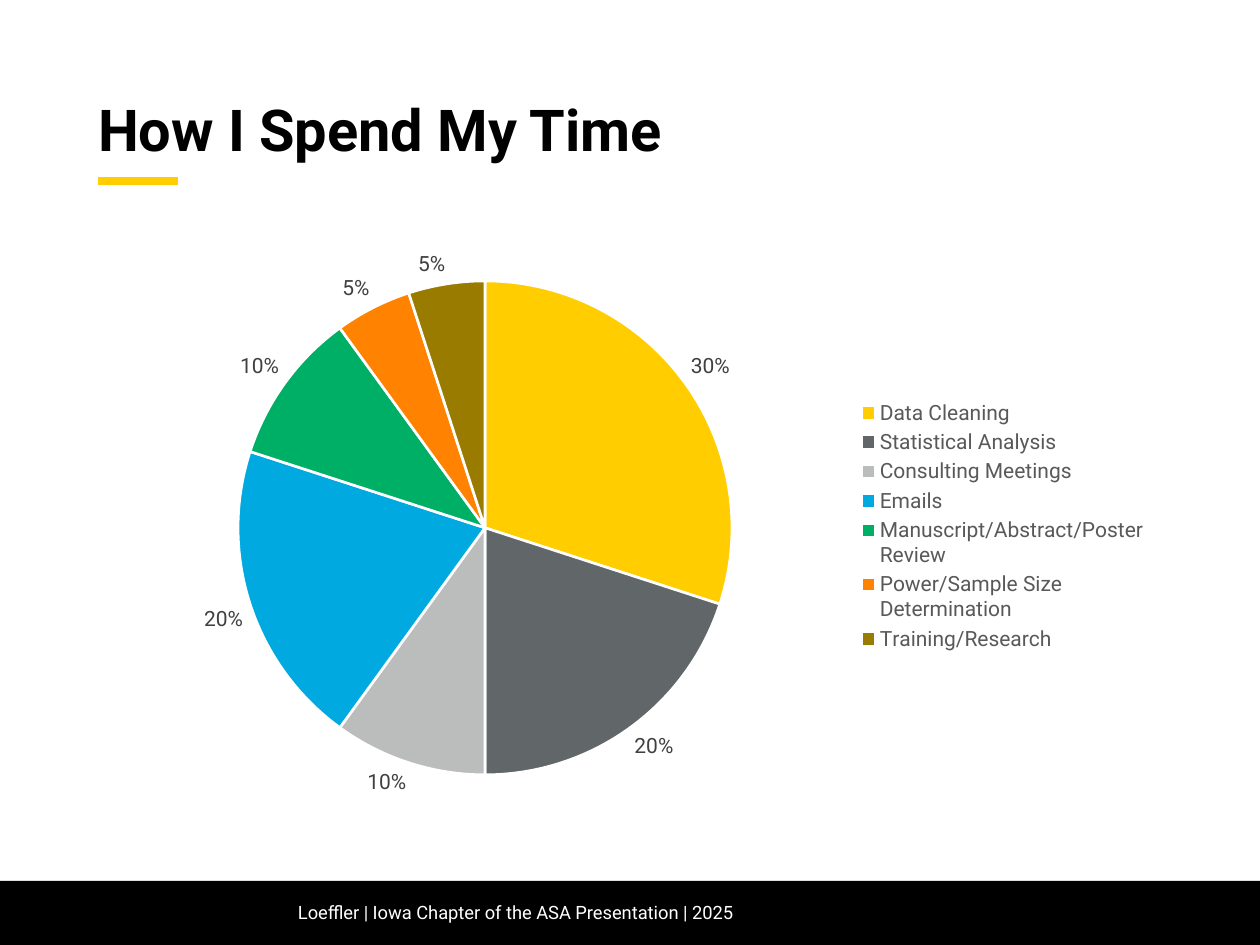
from dataclasses import dataclass

from lxml.etree import SubElement
from pptx import Presentation
from pptx.chart.data import CategoryChartData
from pptx.dml.color import RGBColor
from pptx.enum.chart import XL_CHART_TYPE as ChartType
from pptx.enum.chart import XL_LABEL_POSITION as LabelPosition
from pptx.enum.chart import XL_LEGEND_POSITION as LegendPosition
from pptx.enum.shapes import MSO_CONNECTOR as Connector
from pptx.enum.shapes import MSO_SHAPE as Shape
from pptx.enum.text import MSO_ANCHOR as Anchor
from pptx.oxml import parse_xml
from pptx.oxml.ns import nsdecls, qn
from pptx.util import Emu, Pt

PX_PER_INCH = 126


@dataclass(frozen=True)
class Theme:
    font: str = "Roboto"
    gold: str = "FFCD00"
    black: str = "000000"
    white: str = "FFFFFF"
    legend: str = "595959"
    label: str = "404040"
    title_size: float = 33
    chart_size: float = 12
    footer_size: float = 10.5


@dataclass(frozen=True)
class Box:
    left: int
    top: int
    width: int
    height: int

    def emu(self) -> tuple[Emu, ...]:
        return tuple(px(n) for n in (self.left, self.top, self.width, self.height))


@dataclass(frozen=True)
class Slice:
    name: str
    share: float
    color: str


THEME = Theme()
TITLE = Box(98, 73, 1064, 120)
FOOTER_BAR = Box(0, 881, 1260, 64)
FOOTER_TEXT = Box(286, 887, 897, 50)
CHART = Box(98, 233, 1060, 586)
PIE = Box(238, 281, 494, 494)
LEGEND = Box(856, 396, 294, 260)

SLICES = [
    Slice("Data Cleaning", 0.3, THEME.gold),
    Slice("Statistical Analysis", 0.2, "616669"),
    Slice("Consulting Meetings", 0.1, "BBBCBC"),
    Slice("Emails", 0.2, "00A9E0"),
    Slice("Manuscript/Abstract/Poster Review", 0.1, "00AF66"),
    Slice("Power/Sample Size Determination", 0.05, "FF8200"),
    Slice("Training/Research", 0.05, "997B00"),
]


def px(length: int) -> Emu:
    return Emu(round(length * 914400 / PX_PER_INCH))


def style_font(font, size: float, color: str, bold: bool = False) -> None:
    font.name = THEME.font
    font.size = Pt(size)
    font.bold = bold
    font.color.rgb = RGBColor.from_string(color)


def add_text(page, box: Box, text: str, size: float, color: str,
             bold: bool = False, inset: int = 0):
    frame = page.shapes.add_textbox(*box.emu()).text_frame
    frame.word_wrap = True
    frame.vertical_anchor = Anchor.MIDDLE
    frame.margin_left = frame.margin_right = px(inset)
    frame.margin_top = frame.margin_bottom = 0
    para = frame.paragraphs[0]
    para.text = text
    style_font(para.font, size, color, bold)
    return para


def add_rule(page, left: int, right: int, y: int) -> None:
    rule = page.shapes.add_connector(
        Connector.STRAIGHT, px(left), px(y), px(right), px(y))
    rule.line.color.rgb = RGBColor.from_string(THEME.gold)
    rule.line.width = Pt(5)
    SubElement(rule.element.spPr, qn("a:effectLst"))


def add_bar(page, box: Box, color: str) -> None:
    bar = page.shapes.add_shape(Shape.RECTANGLE, *box.emu())
    bar.shadow.inherit = False
    bar.fill.solid()
    bar.fill.fore_color.rgb = RGBColor.from_string(color)
    bar.line.fill.background()


def chart_layout(part: Box, inner: bool = False):
    """Place a chart part by its fractions of the chart area."""
    target = '<c:layoutTarget val="inner"/>' if inner else ""
    fractions = {
        "x": (part.left - CHART.left) / CHART.width,
        "y": (part.top - CHART.top) / CHART.height,
        "w": part.width / CHART.width,
        "h": part.height / CHART.height,
    }
    modes = '<c:xMode val="edge"/><c:yMode val="edge"/>'
    values = "".join(f'<c:{key} val="{n:.4f}"/>' for key, n in fractions.items())
    return parse_xml(f'<c:layout {nsdecls("c")}><c:manualLayout>'
                     f'{target}{modes}{values}</c:manualLayout></c:layout>')


def add_pie(page, slices: list[Slice]) -> None:
    data = CategoryChartData(number_format="0%")
    data.categories = [item.name for item in slices]
    data.add_series("Series 1", [item.share for item in slices])
    chart = page.shapes.add_chart(ChartType.PIE, *CHART.emu(), data).chart
    chart.has_title = False
    style_font(chart.font, THEME.chart_size, THEME.black)

    # Slices
    plot = chart.plots[0]
    plot.vary_by_categories = True
    for index, item in enumerate(slices):
        style = plot.series[0].points[index].format
        style.fill.solid()
        style.fill.fore_color.rgb = RGBColor.from_string(item.color)
        style.line.color.rgb = RGBColor.from_string(THEME.white)
        style.line.width = Pt(1.5)

    # Labels
    plot.has_data_labels = True
    labels = plot.data_labels
    labels.show_value = True
    labels.show_percentage = False
    labels.number_format = "0%"
    labels.number_format_is_linked = False
    labels.position = LabelPosition.OUTSIDE_END
    style_font(labels.font, THEME.chart_size, THEME.label)

    # Legend
    chart.has_legend = True
    legend = chart.legend
    legend.position = LegendPosition.RIGHT
    legend.include_in_layout = False
    style_font(legend.font, THEME.chart_size, THEME.legend)

    # Placement of pie and legend
    space = chart.element
    plot_area = space.find(".//" + qn("c:plotArea"))
    legend_part = space.find(".//" + qn("c:legend"))
    for part in (plot_area, legend_part):
        for old in part.findall(qn("c:layout")):
            part.remove(old)
    plot_area.insert(0, chart_layout(PIE, inner=True))
    legend_part.find(qn("c:legendPos")).addnext(chart_layout(LEGEND))


def main() -> None:
    deck = Presentation()
    deck.slide_width, deck.slide_height = px(1260), px(945)
    page = deck.slides.add_slide(deck.slide_layouts[6])

    # Title and accent
    add_rule(page, 98, 178, 181)
    title = add_text(page, TITLE, "How I Spend My Time",
                     THEME.title_size, THEME.black, bold=True)
    title.line_spacing = 0.9

    add_pie(page, SLICES)

    # Footer
    add_bar(page, FOOTER_BAR, THEME.black)
    add_text(page, FOOTER_TEXT, "Loeffler | Iowa Chapter of the ASA Presentation | 2025",
             THEME.footer_size, THEME.white, inset=12)

    deck.save("out.pptx")


if __name__ == "__main__":
    main()
